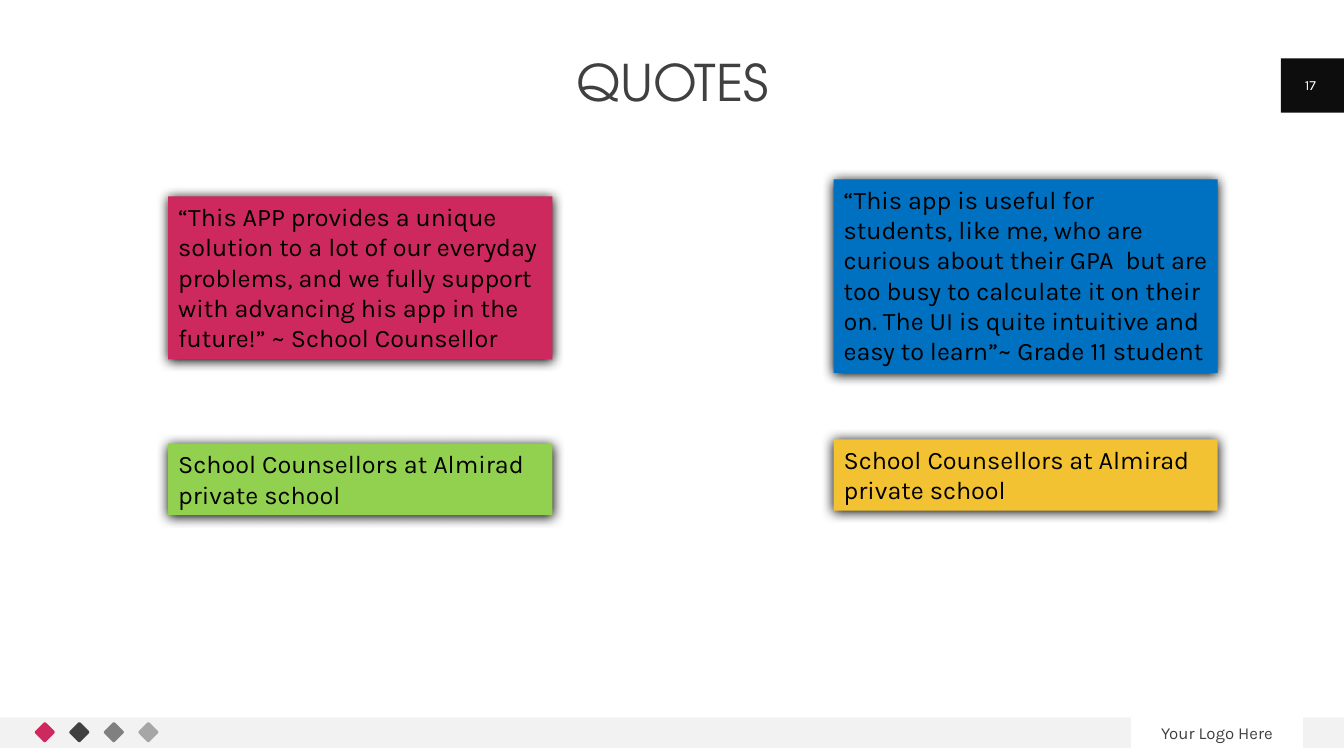
"""Build the Quotes slide with four coloured testimonial cards."""
from dataclasses import dataclass

from lxml import etree
from pptx import Presentation
from pptx.dml import color
from pptx.enum import shapes, text
from pptx.oxml import ns
from pptx.shapes import autoshape
from pptx.slide import Slide
from pptx.util import Cm, Pt


@dataclass(frozen=True)
class Theme:
    """Colours, fonts and type sizes."""
    pink: str = "CE295E"
    blue: str = "0070C0"
    green: str = "92D050"
    yellow: str = "F2C232"
    black: str = "000000"
    tab: str = "0D0D0D"
    charcoal: str = "404040"
    grey: str = "808080"
    silver: str = "A6A6A6"
    band: str = "F2F2F2"
    white: str = "FFFFFF"
    heading_font: str = "TeX Gyre Adventor"
    body_font: str = "Karla"
    heading_size: int = 36
    quote_size: int = 18
    footer_size: int = 12
    number_size: int = 10


THEME = Theme()


@dataclass(frozen=True)
class Box:
    """Position and size in centimetres."""
    left: float
    top: float
    width: float
    height: float

    def lengths(self) -> tuple[Cm, Cm, Cm, Cm]:
        """Return the box as lengths."""
        return Cm(self.left), Cm(self.top), Cm(self.width), Cm(self.height)


@dataclass(frozen=True)
class Quote:
    """One testimonial card."""
    box: Box
    fill: str
    words: str


SLIDE_WIDTH, SLIDE_HEIGHT = 33.87, 19.05
LEFT_COLUMN, RIGHT_COLUMN, CARD_WIDTH = 4.24, 21.01, 9.68
FOOTER_TOP, FOOTER_HEIGHT = 18.08, 0.77
LOGO_LEFT, LOGO_RIGHT = 28.5, 32.84
DIAMOND_LEFT, DIAMOND_TOP, DIAMOND_SIZE, DIAMOND_PITCH = 0.94, 18.26, 0.38, 0.87

SOURCE = "School Counsellors at Almirad private school"
QUOTES = (
    Quote(Box(LEFT_COLUMN, 4.95, CARD_WIDTH, 4.11), THEME.pink,
          "“This APP provides a unique solution to a lot of our everyday problems, "
          "and we fully support with advancing his app in the future!” "
          "~ School Counsellor"),
    Quote(Box(RIGHT_COLUMN, 4.52, CARD_WIDTH, 4.88), THEME.blue,
          "“This app is useful for students, like me, who are curious about their "
          "GPA  but are too busy to calculate it on their on. The UI is quite "
          "intuitive and easy to learn”~ Grade 11 student"),
    Quote(Box(LEFT_COLUMN, 11.18, CARD_WIDTH, 1.8), THEME.green, SOURCE),
    Quote(Box(RIGHT_COLUMN, 11.07, CARD_WIDTH, 1.8), THEME.yellow, SOURCE),
)
BLOCKS = (
    (Box(0, FOOTER_TOP, LOGO_LEFT, FOOTER_HEIGHT), THEME.band),
    (Box(32.28, 1.47, SLIDE_WIDTH - 32.28, 1.37), THEME.tab),
    (Box(LOGO_RIGHT, FOOTER_TOP, SLIDE_WIDTH - LOGO_RIGHT, FOOTER_HEIGHT), THEME.band),
)
DIAMOND_FILLS = (THEME.pink, THEME.charcoal, THEME.grey, THEME.silver)


def write(shape: autoshape.Shape, words: str, *, size: int, ink: str = THEME.charcoal,
          font: str = THEME.body_font, align: text.PP_ALIGN = text.PP_ALIGN.CENTER,
          anchor: text.MSO_ANCHOR = text.MSO_ANCHOR.MIDDLE,
          spacing: float = 1.0, inset: bool = True) -> None:
    """Put formatted, wrapping words into a shape."""
    frame = shape.text_frame
    frame.word_wrap = True
    frame.vertical_anchor = anchor
    if not inset:
        frame.margin_left = frame.margin_right = 0
        frame.margin_top = frame.margin_bottom = 0
    paragraph = frame.paragraphs[0]
    paragraph.alignment = align
    paragraph.line_spacing = spacing
    run = paragraph.add_run()
    run.text = words
    run.font.name = font
    run.font.size = Pt(size)
    run.font.color.rgb = color.RGBColor.from_string(ink)


def add_block(slide: Slide, box: Box, fill: str,
              kind: shapes.MSO_SHAPE = shapes.MSO_SHAPE.RECTANGLE) -> autoshape.Shape:
    """Add a flat shape without outline."""
    block = slide.shapes.add_shape(kind, *box.lengths())
    block.shadow.inherit = False
    block.fill.solid()
    block.fill.fore_color.rgb = color.RGBColor.from_string(fill)
    block.line.fill.background()
    return block


def add_diamond(slide: Slide, index: int, fill: str) -> None:
    """Add one rounded footer diamond."""
    box = Box(DIAMOND_LEFT + index * DIAMOND_PITCH, DIAMOND_TOP, DIAMOND_SIZE, DIAMOND_SIZE)
    diamond = add_block(slide, box, fill, shapes.MSO_SHAPE.ROUNDED_RECTANGLE)
    diamond.adjustments[0] = 0.11
    diamond.rotation = 315


def cast_shadow(shape: autoshape.Shape) -> None:
    """Give a shape a soft black shadow below it."""
    effects = shape.element.spPr.find(ns.qn("a:effectLst"))
    shadow = etree.SubElement(effects, ns.qn("a:outerShdw"), blurRad=str(Pt(8.5)),
                              dist=str(Pt(1)), dir="5400000", algn="t", rotWithShape="0")
    etree.SubElement(shadow, ns.qn("a:srgbClr"), val=THEME.black)


def add_quote(slide: Slide, quote: Quote) -> None:
    """Add one testimonial card."""
    card = add_block(slide, quote.box, quote.fill)
    cast_shadow(card)
    write(card, quote.words, size=THEME.quote_size, ink=THEME.black,
          align=text.PP_ALIGN.LEFT, anchor=text.MSO_ANCHOR.TOP)


def main() -> None:
    """Build and save the slide."""
    deck = Presentation()
    deck.slide_width, deck.slide_height = Cm(SLIDE_WIDTH), Cm(SLIDE_HEIGHT)
    slide = deck.slides.add_slide(deck.slide_layouts[6])
    for box, fill in BLOCKS:
        add_block(slide, box, fill)
    for index, fill in enumerate(DIAMOND_FILLS):
        add_diamond(slide, index, fill)

    title = slide.shapes.add_textbox(*Box(2.34, 1.47, 29.21, 1.4).lengths())
    write(title, "QUOTES", size=THEME.heading_size, font=THEME.heading_font,
          anchor=text.MSO_ANCHOR.TOP, spacing=0.9, inset=False)
    logo_box = Box(LOGO_LEFT, FOOTER_TOP, LOGO_RIGHT - LOGO_LEFT, FOOTER_HEIGHT)
    logo_caption = slide.shapes.add_textbox(*logo_box.lengths())
    write(logo_caption, "Your Logo Here", size=THEME.footer_size)
    page_number = slide.shapes.add_textbox(*Box(32.44, 1.63, 1.17, 1.02).lengths())
    write(page_number, "17", size=THEME.number_size, ink=THEME.white)

    for quote in QUOTES:
        add_quote(slide, quote)
    deck.save("out.pptx")


if __name__ == "__main__":
    main()
